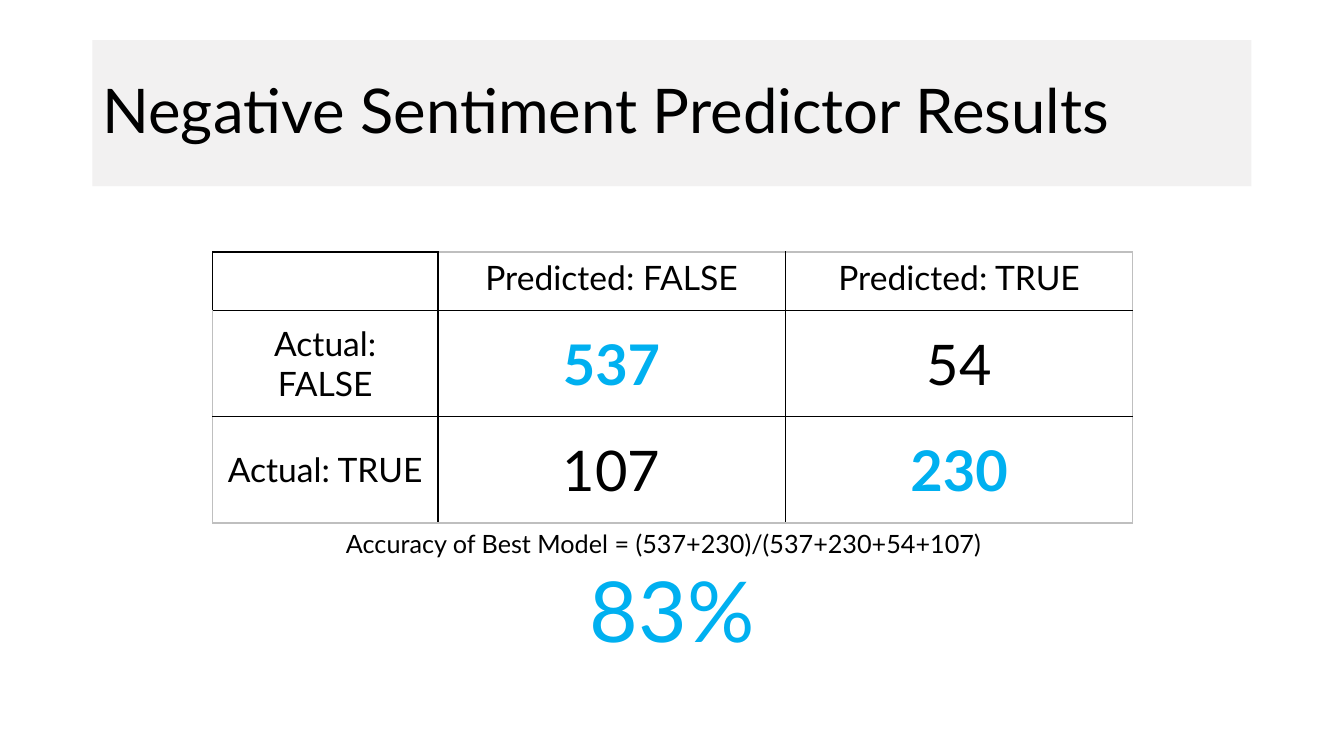
from lxml import etree
from pptx import Presentation
from pptx import util as u
from pptx.dml.color import RGBColor
from pptx.enum import shapes, text
from pptx.oxml import ns

BLACK = RGBColor(0x00, 0x00, 0x00)
BLUE = RGBColor(0x00, 0xB0, 0xF0)
PALE_GREY = RGBColor(0xE7, 0xE6, 0xE6)
EDGE_GREY = RGBColor(0xBF, 0xBF, 0xBF)
CENTER = text.PP_ALIGN.CENTER
LEFT = text.PP_ALIGN.LEFT


def write(para, words, size=24, color=BLACK, bold=False, align=CENTER, font="Lato"):
    """Put one formatted run into a paragraph."""
    para.alignment = align
    span = para.add_run()
    span.text = words
    span.font.name = font
    span.font.size = u.Pt(size)
    span.font.bold = bold
    span.font.color.rgb = color


class ResultsSlide:
    font = "Lato"

    def __init__(self, deck):
        self.slide = deck.slides.add_slide(deck.slide_layouts[6])

    def title(self, words, left, top, width, height):
        box = self.slide.shapes.add_shape(
            shapes.MSO_SHAPE.RECTANGLE,
            u.Cm(left), u.Cm(top), u.Cm(width), u.Cm(height))
        box.shadow.inherit = False
        box.line.fill.background()
        box.fill.solid()
        box.fill.fore_color.rgb = PALE_GREY
        tint = box.fill._xPr.find(".//" + ns.qn("a:srgbClr"))
        etree.SubElement(tint, ns.qn("a:alpha"), val="54000")
        frame = box.text_frame
        frame.word_wrap = True
        frame.vertical_anchor = text.MSO_ANCHOR.MIDDLE
        para = frame.paragraphs[0]
        para.line_spacing = 0.9
        write(para, words, size=44, align=LEFT, font=self.font)

    def border(self, cell, side, color, width):
        line = etree.SubElement(cell._tc.get_or_add_tcPr(), ns.qn("a:ln" + side),
                                w=str(u.Pt(width)))
        fill = etree.SubElement(line, ns.qn("a:solidFill"))
        etree.SubElement(fill, ns.qn("a:srgbClr"), val=str(color))

    def matrix(self, rows, left, top, widths, heights):
        table = self.slide.shapes.add_table(
            len(heights), len(widths), u.Cm(left), u.Cm(top),
            u.Cm(sum(widths)), u.Cm(sum(heights))).table
        table.first_row = table.horz_banding = False
        for column, width in zip(table.columns, widths):
            column.width = u.Cm(width)
        for row, height in zip(table.rows, heights):
            row.height = u.Cm(height)
        last_row, last_col = len(heights) - 1, len(widths) - 1
        for r, row in enumerate(rows):
            for c, words in enumerate(row):
                cell = table.cell(r, c)
                # Grey outer edge, black inner lines and a black corner cell
                outer = {"L": c == 0, "R": c == last_col,
                         "T": r == 0, "B": r == last_row}
                for side, is_outer in outer.items():
                    grey = is_outer and (r, c) != (0, 0)
                    heavy = (c, side) in ((0, "R"), (1, "L"))
                    self.border(cell, side, EDGE_GREY if grey else BLACK,
                                1.5 if heavy else 1)
                cell.fill.background()
                if r:
                    cell.vertical_anchor = text.MSO_ANCHOR.MIDDLE
                if words:
                    is_count = r > 0 and c > 0
                    correct = is_count and r == c
                    write(cell.text_frame.paragraphs[0], words,
                          size=40 if is_count else 24,
                          color=BLUE if correct else BLACK,
                          bold=correct, font=self.font)

    def accuracy(self, formula, score, left, top, width, height):
        box = self.slide.shapes.add_textbox(
            u.Cm(left), u.Cm(top), u.Cm(width), u.Cm(height))
        frame = box.text_frame
        frame.word_wrap = True
        frame.auto_size = text.MSO_AUTO_SIZE.SHAPE_TO_FIT_TEXT
        write(frame.paragraphs[0], formula, size=18, align=LEFT, font=self.font)
        write(frame.add_paragraph(), score, size=60, color=BLUE, font=self.font)


def main():
    deck = Presentation()
    deck.slide_width, deck.slide_height = u.Cm(33.87), u.Cm(19.05)
    page = ResultsSlide(deck)

    # Heading band
    page.title("Negative Sentiment Predictor Results", 2.33, 1.01, 29.21, 3.68)

    # Confusion matrix
    page.matrix([["", "Predicted: FALSE", "Predicted: TRUE"],
                 ["Actual: FALSE", "537", "54"],
                 ["Actual: TRUE", "107", "230"]],
                5.36, 6.35, [5.67, 8.76, 8.76], [1.47, 2.68, 2.68])

    # Overall accuracy
    page.accuracy("Accuracy of Best Model = (537+230)/(537+230+54+107)", "83%",
                  8.47, 13.18, 16.93, 3.58)
    deck.save("out.pptx")


if __name__ == "__main__":
    main()
